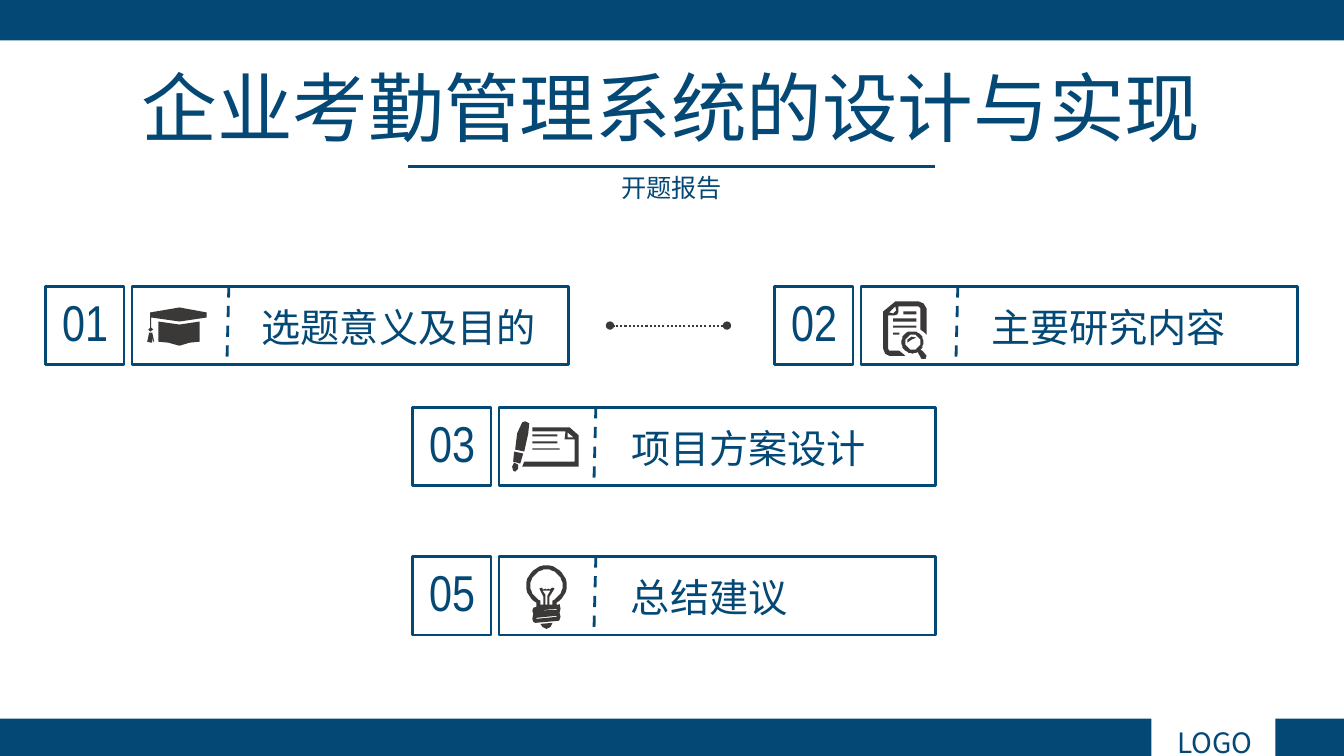
"""Builds the cover slide of a thesis proposal with four numbered topic cards."""
import math
from dataclasses import dataclass
from typing import NamedTuple

import pptx
import pptx.dml.color
import pptx.enum.dml
import pptx.enum.shapes
import pptx.enum.text
import pptx.oxml.ns
import pptx.oxml.xmlchemy
import pptx.util

Inches = pptx.util.Inches
Contour = list[tuple[float, float]]
Dash = pptx.enum.dml.MSO_LINE


@dataclass(frozen=True)
class Theme:
    navy: str = "044875"
    dark: str = "3B3838"
    cjk: str = "Noto Sans CJK SC"
    body: str = "Calibri"
    digits: str = "Arial Narrow"
    title: int = 54
    number: int = 36
    label: int = 28
    logo: int = 20
    subtitle: int = 18
    line: float = 2
    dots: float = 1.5


class Icon(NamedTuple):
    dx: float
    dy: float
    contours: list[Contour]


class Card(NamedTuple):
    number: str
    label: str
    left: float
    top: float
    label_dx: float
    icon: Icon


class Text(NamedTuple):
    text: str
    left: float
    top: float
    width: float
    height: float
    size: int
    font: str


THEME = Theme()


def rgb(color: str) -> pptx.dml.color.RGBColor:
    return pptx.dml.color.RGBColor.from_string(color)


def box(x1: float, y1: float, x2: float, y2: float) -> Contour:
    return [(x1, y1), (x2, y1), (x2, y2), (x1, y2)]


def arc(cx: float, cy: float, r: float, start: int = 360, end: int = 0) -> Contour:
    angles = [math.radians(a) for a in range(start, end - 1, -10)]
    return [(cx + r * math.cos(a), cy + r * math.sin(a)) for a in angles]


CAP = Icon(1.01, 0.21, [
    [(59, 5), (59, 10), (32, 14), (4, 10), (4, 20), (6, 22), (3, 24), (1, 22),
     (3, 20), (3, 5), (32, 0)],
    [(11, 34), (21, 35), (32, 38), (42, 35), (52, 34), (52, 14), (32, 17), (11, 14)],
    [(5, 25), (2, 25), (0, 34), (4, 35), (5, 35), (5, 30), (6, 34), (7, 34)],
])
SEARCH = Icon(1.08, 0.15, [
    [(12, 0), (35, 0), (40, 2), (43, 7), (43, 33), (41, 31), (37, 28), (37, 7),
     (35, 5), (15, 5), (15, 11), (14, 13), (11, 14), (5, 14), (5, 47), (6, 49),
     (16, 49), (22, 54), (6, 54), (2, 52), (0, 47), (0, 10), (11, 1)],
    [(12, 5), (6, 11), (10, 12), (13, 9)],
    box(10, 31, 16, 33), box(10, 24, 33, 26), box(10, 17, 33, 20), box(20, 10, 33, 13),
    arc(29, 40.5, 11), arc(29.5, 40.5, 7.5),
    [(24, 41), (28, 38), (33, 36), (28, 35), (24, 38)],
    [(34, 50), (38, 57), (42, 57), (43, 54), (39, 49), (37, 48)],
])
PEN = Icon(0.99, 0.14, [
    [(10, 1), (13, 0), (17, 2), (16, 12), (12, 30), (3, 28), (5, 12)],
    [(12, 40), (10, 45), (66, 45), (66, 14), (57, 6), (20, 6), (20, 10), (53, 10),
     (52, 18), (62, 18), (62, 40)],
    [(61, 16), (55, 16), (55, 11)],
    box(20, 27, 47, 28), box(20, 20, 45, 22), box(20, 13, 45, 15),
    [(2, 41), (6, 43), (6, 47), (3, 50), (1, 49), (0, 45)],
    [(2, 30), (1, 40), (8, 42), (11, 32)],
])
BULB = Icon(1.13, 0.09, [
    arc(20, 20, 20, 60, -240)
    + [(10, 41), (7, 42), (6, 45), (7, 48), (6, 53), (7, 56), (9, 57), (32, 55),
       (33, 54), (34, 51), (33, 47), (34, 43), (33, 38), (32, 39), (30, 39)],
    arc(20, 20, 16, 60, -240)
    + [(14, 35), (14, 39), (17, 39), (17, 31), (13, 23), (15, 22), (17, 24), (19, 23),
       (20, 24), (22, 23), (23, 24), (26, 22), (28, 23), (23, 31), (23, 39), (26, 39),
       (26, 35)],
    [(16, 25), (19, 29), (19, 39), (21, 39), (21, 30), (24, 25)],
    [(26, 57), (14, 58), (16, 61), (20, 63), (24, 61)],
    [(30, 50), (10, 52), (10, 53), (30, 51)],
    [(30, 43), (10, 45), (30, 44)],
])

BARS = [(0, -0.01, 13.33, 0.41), (12.65, 7.13, 0.68, 0.37), (0, 7.13, 11.42, 0.37)]
CARDS = [
    Card("01", "选题意义及目的", 0.45, 2.84, 1.95, CAP),
    Card("02", "主要研究内容", 7.68, 2.84, 1.76, SEARCH),
    Card("03", "项目方案设计", 4.09, 4.04, 1.78, PEN),
    Card("05", "总结建议", 4.09, 5.52, 1.39, BULB),
]
TEXTS = [
    Text("LOGO", 11.23, 7.15, 1.64, 0.44, THEME.logo, THEME.cjk),
    Text("企业考勤管理系统的设计与实现", 1.25, 0.55, 10.81, 1.01, THEME.title, THEME.body),
    Text("开题报告", 3.78, 1.66, 5.76, 0.4, THEME.subtitle, THEME.body),
]


def add_rect(s, left: float, top: float, width: float, height: float, filled: bool) -> None:
    sp = s.shapes.add_shape(pptx.enum.shapes.MSO_SHAPE.RECTANGLE,
                            Inches(left), Inches(top), Inches(width), Inches(height))
    sp.shadow.inherit = False
    if filled:
        sp.fill.solid()
        sp.fill.fore_color.rgb = rgb(THEME.navy)
        sp.line.fill.background()
    else:
        sp.fill.background()
        sp.line.color.rgb = rgb(THEME.navy)
        sp.line.width = pptx.util.Pt(THEME.line)


def add_text(s, t: Text) -> None:
    tf = s.shapes.add_textbox(Inches(t.left), Inches(t.top),
                              Inches(t.width), Inches(t.height)).text_frame
    tf.word_wrap = True
    tf.auto_size = pptx.enum.text.MSO_AUTO_SIZE.SHAPE_TO_FIT_TEXT
    p = tf.paragraphs[0]
    p.text = t.text
    p.alignment = pptx.enum.text.PP_ALIGN.CENTER
    p.font.size = pptx.util.Pt(t.size)
    p.font.name = t.font
    p.font.color.rgb = rgb(THEME.navy)
    ea = pptx.oxml.xmlchemy.OxmlElement("a:ea")
    ea.set("typeface", THEME.cjk)
    p._p.pPr.find(pptx.oxml.ns.qn("a:defRPr")).append(ea)


def add_line(s, x1: float, y1: float, x2: float, y2: float, color: str = THEME.navy,
             width: float = THEME.line, dash: Dash = Dash.SOLID, ends: bool = False) -> None:
    c = s.shapes.add_connector(pptx.enum.shapes.MSO_CONNECTOR.STRAIGHT,
                               Inches(x1), Inches(y1), Inches(x2), Inches(y2))
    c.line.color.rgb = rgb(color)
    c.line.width = pptx.util.Pt(width)
    c.line.dash_style = dash
    for tag in ("a:headEnd", "a:tailEnd") if ends else ():
        end = pptx.oxml.xmlchemy.OxmlElement(tag)
        end.set("type", "oval")
        c.line._get_or_add_ln().append(end)
    c._element.spPr.append(pptx.oxml.xmlchemy.OxmlElement("a:effectLst"))


def add_icon(s, icon: Icon, left: float, top: float) -> None:
    first, *rest = icon.contours
    builder = s.shapes.build_freeform(*first[0], scale=Inches(0.01))
    builder.add_line_segments(first[1:])
    for contour in rest:
        builder.move_to(*contour[0])
        builder.add_line_segments(contour[1:])
    sp = builder.convert_to_shape(Inches(left + icon.dx), Inches(top + icon.dy))
    sp.shadow.inherit = False
    sp.fill.solid()
    sp.fill.fore_color.rgb = rgb(THEME.dark)
    sp.line.fill.background()


def add_card(s, card: Card) -> None:
    x, y = card.left, card.top
    add_text(s, Text(card.label, x + card.label_dx, y + 0.12, 3.11, 0.57,
                     THEME.label, THEME.cjk))
    add_rect(s, x + 0.86, y, 4.33, 0.78, filled=False)
    add_line(s, x + 1.82, y, x + 1.8, y + 0.78, dash=Dash.DASH)
    add_rect(s, x, y, 0.78, 0.78, filled=False)
    add_text(s, Text(card.number, x - 0.11, y, 1.01, 0.71, THEME.number, THEME.digits))
    add_icon(s, card.icon, x, y)


def main() -> None:
    prs = pptx.Presentation()
    prs.slide_width, prs.slide_height = Inches(13.33), Inches(7.5)
    s = prs.slides.add_slide(prs.slide_layouts[6])
    for bar in BARS:
        add_rect(s, *bar, filled=True)
    for card in CARDS:
        add_card(s, card)
    add_line(s, 7.21, 3.23, 6.05, 3.23, THEME.dark, THEME.dots, Dash.ROUND_DOT, ends=True)
    for t in TEXTS:
        add_text(s, t)
    add_line(s, 4.05, 1.65, 9.27, 1.65)
    prs.save("out.pptx")


if __name__ == "__main__":
    main()
